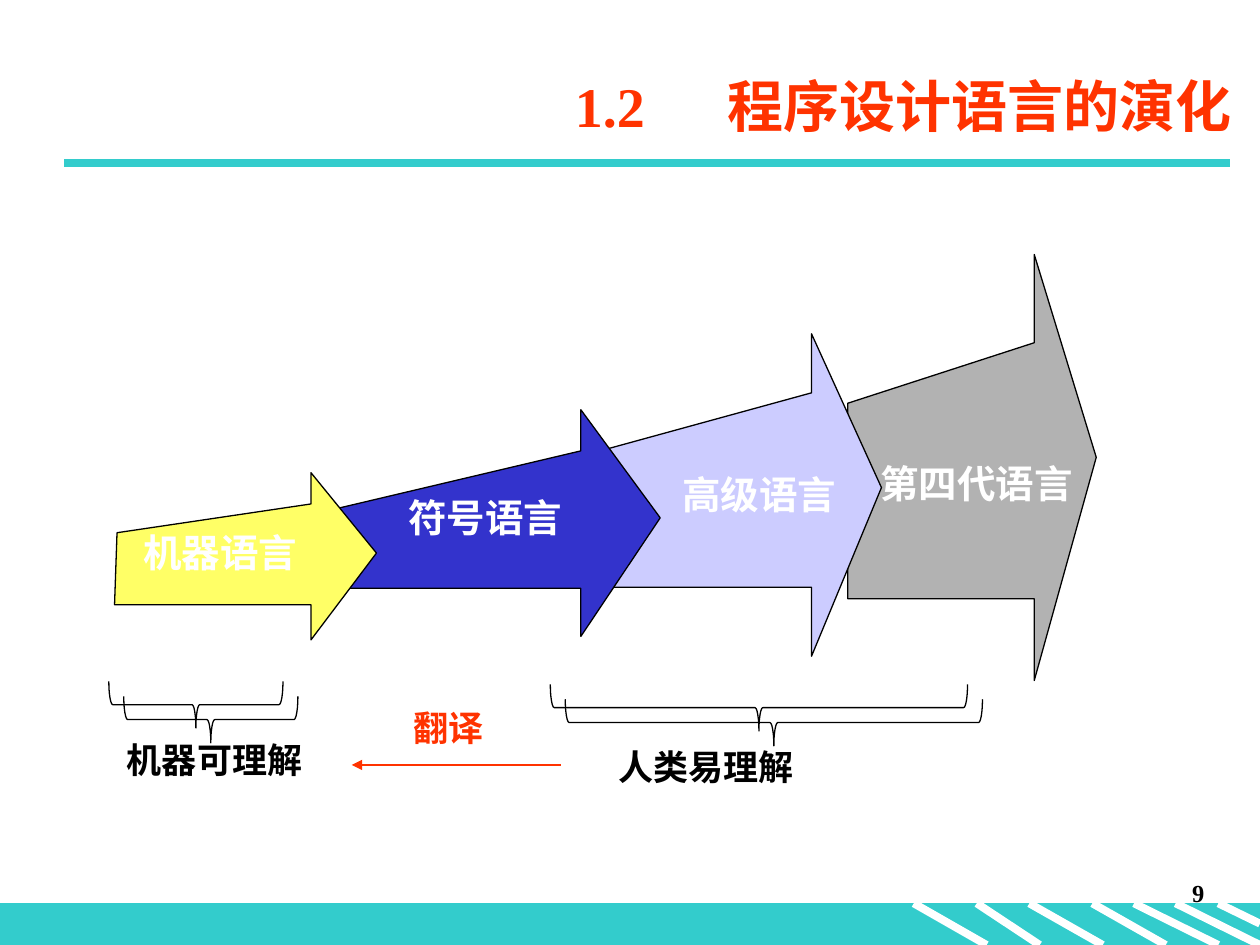
from dataclasses import dataclass

from lxml.etree import SubElement
from pptx import Presentation
from pptx.dml.color import RGBColor as RGB
from pptx.enum.shapes import MSO_CONNECTOR as Connector
from pptx.enum.shapes import MSO_SHAPE as Preset
from pptx.enum.text import MSO_ANCHOR as Anchor
from pptx.enum.text import PP_ALIGN as Align
from pptx.oxml.ns import qn
from pptx.util import Cm, Pt


@dataclass(frozen=True)
class Theme:
    font: str = "Times New Roman"
    teal: RGB = RGB(0x33, 0xCC, 0xCC)
    red: RGB = RGB(0xFF, 0x33, 0x00)
    black: RGB = RGB(0, 0, 0)
    white: RGB = RGB(0xFF, 0xFF, 0xFF)
    yellow: RGB = RGB(0xFF, 0xFF, 0x66)
    blue: RGB = RGB(0x33, 0x33, 0xCC)
    lavender: RGB = RGB(0xCC, 0xCC, 0xFF)
    gray: RGB = RGB(0xB2, 0xB2, 0xB2)
    title: Pt = Pt(32)
    language: Pt = Pt(22)
    caption: Pt = Pt(20)
    number: Pt = Pt(14)
    thin: Pt = Pt(0.75)
    thick: Pt = Pt(4.5)


THEME = Theme()

GENERATIONS = [
    ("第四代语言", THEME.gray, (17.5, 9.14, 4.62),
     [(17.09, 12.07), (17.09, 8.13), (20.85, 6.91), (20.85, 5.13),
      (22.1, 9.22), (20.85, 13.72), (20.85, 12.07)]),
    ("高级语言", THEME.lavender, (13.51, 9.37, 3.96),
     [(12.09, 11.84), (12.17, 9.07), (16.36, 7.92), (16.36, 6.73),
      (17.77, 9.83), (16.36, 13.23), (16.36, 11.84)]),
    ("符号语言", THEME.blue, (7.98, 9.83, 3.91),
     [(6.76, 11.86), (6.76, 10.26), (11.71, 9.09), (11.71, 8.26),
      (13.31, 10.44), (11.71, 12.83), (11.71, 11.86)]),
    ("机器语言", THEME.yellow, (2.64, 10.54, 3.68),
     [(2.31, 12.19), (2.36, 10.74), (6.27, 10.16), (6.27, 9.53),
      (7.59, 11.15), (6.27, 12.9), (6.27, 12.19)]),
]

FOOTER_TOP, PAGE_WIDTH, PAGE_HEIGHT = 18.21, 25.4, 19.05
STRIPES = [(18.42, 19.89), (19.69, 20.96), (20.75, 22.23),
           (22.02, 23.5), (22.86, 24.56), (23.7, PAGE_WIDTH)]


def add_text(slide, text, box, size, color, align=Align.LEFT):
    label = slide.shapes.add_textbox(*map(Cm, box))
    label.text_frame.word_wrap = True
    paragraph = label.text_frame.paragraphs[0]
    paragraph.text = text
    paragraph.alignment = align
    paragraph.font.name = THEME.font
    paragraph.font.size = size
    paragraph.font.bold = True
    paragraph.font.color.rgb = color
    return label


def add_line(slide, start, end, color, width):
    line = slide.shapes.add_connector(
        Connector.STRAIGHT, *map(Cm, (*start, *end)))
    line.line.color.rgb = color
    line.line.width = width
    SubElement(line._element.spPr, qn("a:effectLst"))
    return line


def add_generation(slide, name, color, label_at, outline):
    tail, *rest = [(Cm(x), Cm(y)) for x, y in outline]
    builder = slide.shapes.build_freeform(*tail)
    builder.add_line_segments(rest, close=True)
    arrow = builder.convert_to_shape()
    arrow.shadow.inherit = False
    arrow.fill.solid()
    arrow.fill.fore_color.rgb = color
    arrow.line.color.rgb = THEME.black
    arrow.line.width = THEME.thin
    add_text(slide, name, (*label_at, 1.19), THEME.language, THEME.white)


def add_brace(slide, box):
    brace = slide.shapes.add_shape(Preset.LEFT_BRACE, *map(Cm, box))
    brace.rotation = 270
    brace.fill.background()
    brace.line.color.rgb = THEME.black
    brace.line.width = THEME.thin
    brace.shadow.inherit = False
    effects = brace._element.spPr.find(qn("a:effectLst"))
    shadow = SubElement(effects, qn("a:outerShdw"), dist=str(Pt(12.1)),
                        dir="2700000", algn="ctr", rotWithShape="0")
    SubElement(shadow, qn("a:srgbClr"), val=str(THEME.black))


def add_title(slide):
    title = add_text(slide, "1.2\t程序设计语言的演化", (3.51, 1.12, 21.59, 2.01),
                     THEME.title, THEME.red)
    title.text_frame.vertical_anchor = Anchor.MIDDLE
    title.text_frame.margin_right = 0
    hanging = title.text_frame.paragraphs[0]._p.get_or_add_pPr()
    hanging.set("marL", str(Cm(10.9)))
    hanging.set("indent", str(-Cm(3.07)))


def add_footer(slide):
    band = slide.shapes.add_shape(
        Preset.RECTANGLE, 0, Cm(FOOTER_TOP),
        Cm(PAGE_WIDTH), Cm(PAGE_HEIGHT - FOOTER_TOP))
    band.shadow.inherit = False
    band.fill.solid()
    band.fill.fore_color.rgb = THEME.teal
    band.line.color.rgb = THEME.teal
    band.line.width = THEME.thin
    ends = [(top, (bottom, PAGE_HEIGHT)) for top, bottom in STRIPES]
    for top, end in ends + [(24.56, (PAGE_WIDTH, 18.62))]:
        add_line(slide, (top, FOOTER_TOP), end, THEME.white, THEME.thick)
    add_text(slide, "9", (19.25, 17.58, 5.28, 1.27), THEME.number,
             THEME.black, Align.RIGHT)


def add_translation(slide):
    add_text(slide, "翻译", (8.08, 14.12, 3, 1.12), THEME.caption, THEME.red)
    arrow = add_line(slide, (11.3, 15.42), (7.09, 15.42),
                     THEME.red, THEME.thin)
    SubElement(arrow.line._get_or_add_ln(), qn("a:tailEnd"), type="triangle")


def main():
    deck = Presentation()
    deck.slide_width, deck.slide_height = Cm(PAGE_WIDTH), Cm(PAGE_HEIGHT)
    slide = deck.slides.add_slide(deck.slide_layouts[6])
    add_footer(slide)
    add_line(slide, (1.3, 3.28), (24.79, 3.28), THEME.teal, THEME.thick)
    for generation in GENERATIONS:
        add_generation(slide, *generation)
    add_title(slide)
    for caption, box in [("机器可理解", (2.31, 14.76, 4.62, 1.12)),
                         ("人类易理解", (12.22, 14.91, 6.4, 1.12))]:
        add_text(slide, caption, box, THEME.caption, THEME.black)
    for box in [(14.83, 10.06, 0.94, 8.41), (3.48, 12.45, 0.94, 3.51)]:
        add_brace(slide, box)
    add_translation(slide)
    deck.save("out.pptx")


if __name__ == "__main__":
    main()
